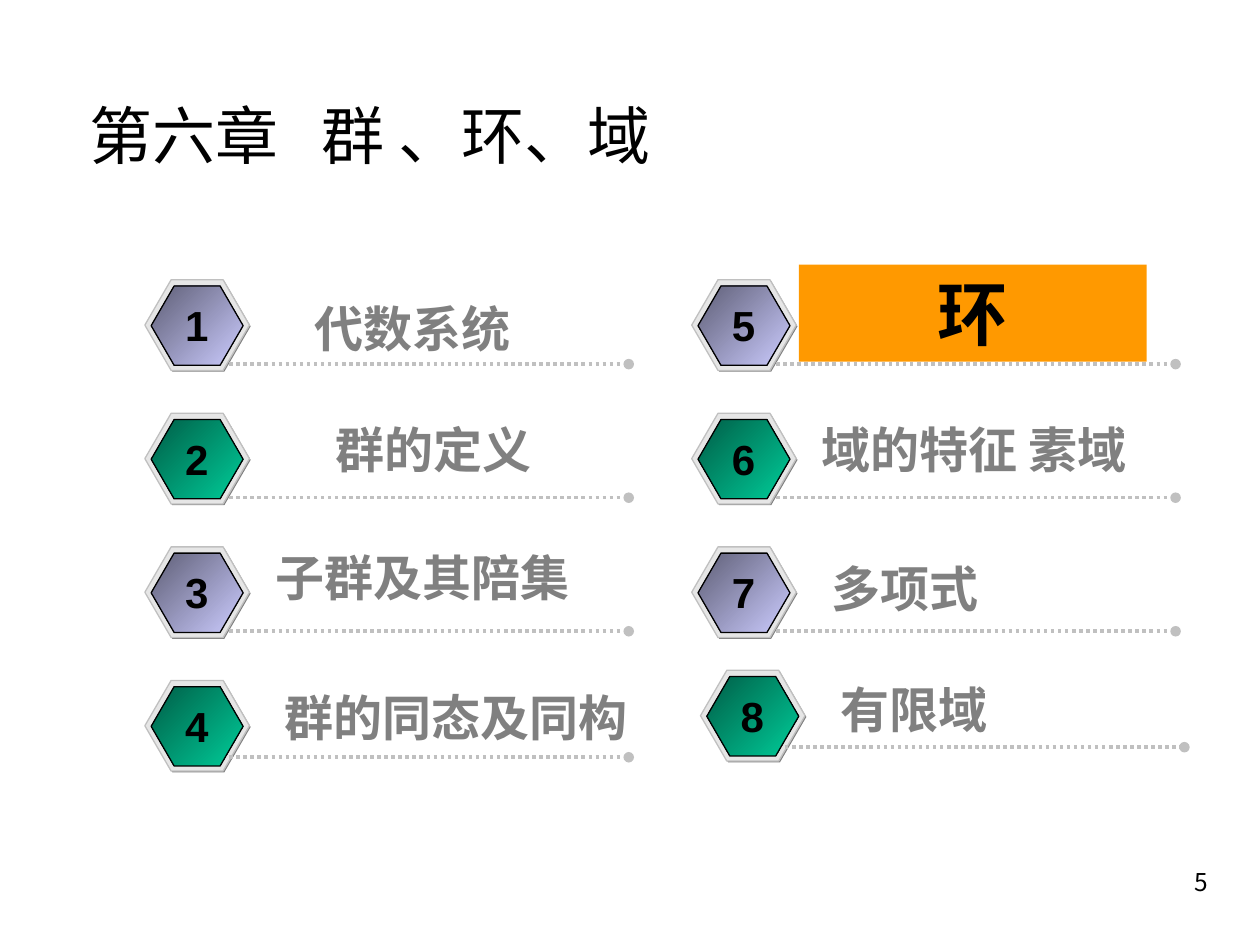
from typing import NamedTuple

from lxml.etree import SubElement
from pptx import Presentation
from pptx.dml.color import RGBColor
from pptx.enum.dml import MSO_LINE_DASH_STYLE as Dash
from pptx.enum.shapes import MSO_CONNECTOR as Conn, MSO_SHAPE as Shape
from pptx.enum.text import MSO_ANCHOR as Anchor, PP_ALIGN as Align
from pptx.oxml.ns import qn
from pptx.util import Inches, Pt

COLORS = {
    "ink": "000000", "muted": "808080", "rim": "E6E6E6", "rule": "C0C0C0",
    "highlight": "FF9900", "violet_dark": "5E5E76", "violet": "CCCCFF",
    "green_dark": "005E47", "green": "00CC99",
}
CJK = "Noto Sans CJK SC"
FORMATS = {
    "title": {"size": Pt(36), "name": CJK, "bold": False},
    "number": {"size": Pt(24), "name": "Arial", "bold": True},
    "label": {"size": Pt(28), "name": CJK, "bold": True},
    "current": {"size": Pt(40), "name": CJK, "bold": True},
    "page": {"size": Pt(14), "name": "Noto Sans CJK KR", "bold": False},
}
LEFT, TOP = 1.15, 2.22
COL_STEP, ROW_STEP, ROWS = 4.34, 1.06, 4
BADGE_W, BADGE_H = 0.83, 0.72


class Topic(NamedTuple):
    text: str
    dx: float
    dy: float
    width: float
    align: Align = Align.LEFT
    current: bool = False
    shift: tuple = (0, 0)


TOPICS = [
    Topic("代数系统", 1.25, 0.1, 1.83),
    Topic("群的定义", 1.25, 0, 2.08, Align.CENTER),
    Topic("子群及其陪集", 0.94, -0.04, 2.75),
    Topic("群的同态及同构", 1.01, 0.01, 2.99),
    Topic("环", 0.85, -0.12, 2.76, Align.CENTER, current=True),
    Topic("域的特征 素域", 0.93, 0, 2.91),
    Topic("多项式", 1.01, 0.04, 2.91),
    Topic("有限域", 1.01, 0.02, 2.99, shift=(0.07, -0.08)),
]


def rgb(name: str) -> RGBColor:
    return RGBColor.from_string(COLORS[name])


def write(tf, text: str, style: str, color: str = "ink", align: Align = Align.LEFT) -> None:
    p = tf.paragraphs[0]
    p.alignment = align
    r = p.add_run()
    r.text = text
    r.font.color.rgb = rgb(color)
    for attr, value in FORMATS[style].items():
        setattr(r.font, attr, value)
    SubElement(r._r.get_or_add_rPr(), qn("a:ea"), typeface=r.font.name)


def add_text(slide, box: tuple, text: str, style: str, color: str = "ink",
             align: Align = Align.LEFT, wrap: bool = True):
    sp = slide.shapes.add_textbox(*map(Inches, box))
    sp.text_frame.word_wrap = wrap
    write(sp.text_frame, text, style, color, align)
    return sp


def add_hexagon(group, x: float, y: float, w: float, h: float, line: str = ""):
    sp = group.shapes.add_shape(Shape.HEXAGON, *map(Inches, (x, y, w, h)))
    sp.shadow.inherit = False
    sp.adjustments[0] = 0.29
    if line:
        sp.line.color.rgb = rgb(line)
        sp.line.width = Pt(0.75)
    else:
        sp.line.fill.background()
    return sp


def add_badge(slide, x: float, y: float, hue: str) -> None:
    group = slide.shapes.add_group_shape()
    shade = add_hexagon(group, x + 0.01, y + 0.01, BADGE_W, BADGE_H)
    rim = add_hexagon(group, x, y, BADGE_W, BADGE_H, "rule")
    for sp, color in ((shade, "muted"), (rim, "rim")):
        sp.fill.solid()
        sp.fill.fore_color.rgb = rgb(color)
    face = add_hexagon(group, x + 0.05, y + 0.05, 0.73, 0.63, "ink")
    face.fill.gradient()
    face.fill.gradient_angle = 315
    for stop, color in zip(face.fill.gradient_stops, (hue + "_dark", hue)):
        stop.color.rgb = rgb(color)


def add_rule(slide, x: float, y: float, length: float) -> None:
    line = slide.shapes.add_connector(Conn.STRAIGHT, *map(Inches, (x, y, x + length, y)))
    line.line.color.rgb = rgb("rule")
    line.line.width = Pt(2)
    line.line.dash_style = Dash.ROUND_DOT
    SubElement(line.line._get_or_add_ln(), qn("a:tailEnd"), type="oval")
    SubElement(line._element.spPr, qn("a:effectLst"))


def add_topic(slide, index: int, topic: Topic) -> None:
    col, row = divmod(index, ROWS)
    x = LEFT + col * COL_STEP + topic.shift[0]
    y = TOP + row * ROW_STEP + topic.shift[1]
    add_badge(slide, x, y, "green" if row % 2 else "violet")
    add_rule(slide, x + 0.67, y + (0.61 if row == ROWS - 1 else 0.67), 3.17)
    add_text(slide, (x + 0.22, y + 0.11, 0.38, 0.5), str(index + 1), "number",
             align=Align.CENTER, wrap=False)
    style, color, height = ("current", "ink", 0.77) if topic.current else ("label", "muted", 0.57)
    sp = add_text(slide, (x + topic.dx, y + topic.dy, topic.width, height),
                  topic.text, style, color, topic.align)
    if topic.current:
        sp.fill.solid()
        sp.fill.fore_color.rgb = rgb("highlight")


def add_title(slide) -> None:
    sp = slide.shapes.title
    sp.left, sp.top, sp.width, sp.height = map(Inches, (0.61, 0.58, 8.77, 0.97))
    tf = sp.text_frame
    tf.vertical_anchor = Anchor.MIDDLE
    tabs = SubElement(tf.paragraphs[0]._p.get_or_add_pPr(), qn("a:tabLst"))
    SubElement(tabs, qn("a:tab"), pos=str(Inches(1.84)), algn="l")
    write(tf, "第六章\t群 、环、域", "title")


def main() -> None:
    prs = Presentation()
    prs.slide_width, prs.slide_height = Inches(10), Inches(7.5)
    slide = prs.slides.add_slide(prs.slide_layouts[5])
    add_title(slide)
    for index, topic in enumerate(TOPICS):
        add_topic(slide, index, topic)
    add_text(slide, (7.61, 6.83, 2.08, 0.5), "5", "page", align=Align.RIGHT)
    prs.save("out.pptx")


if __name__ == "__main__":
    main()
